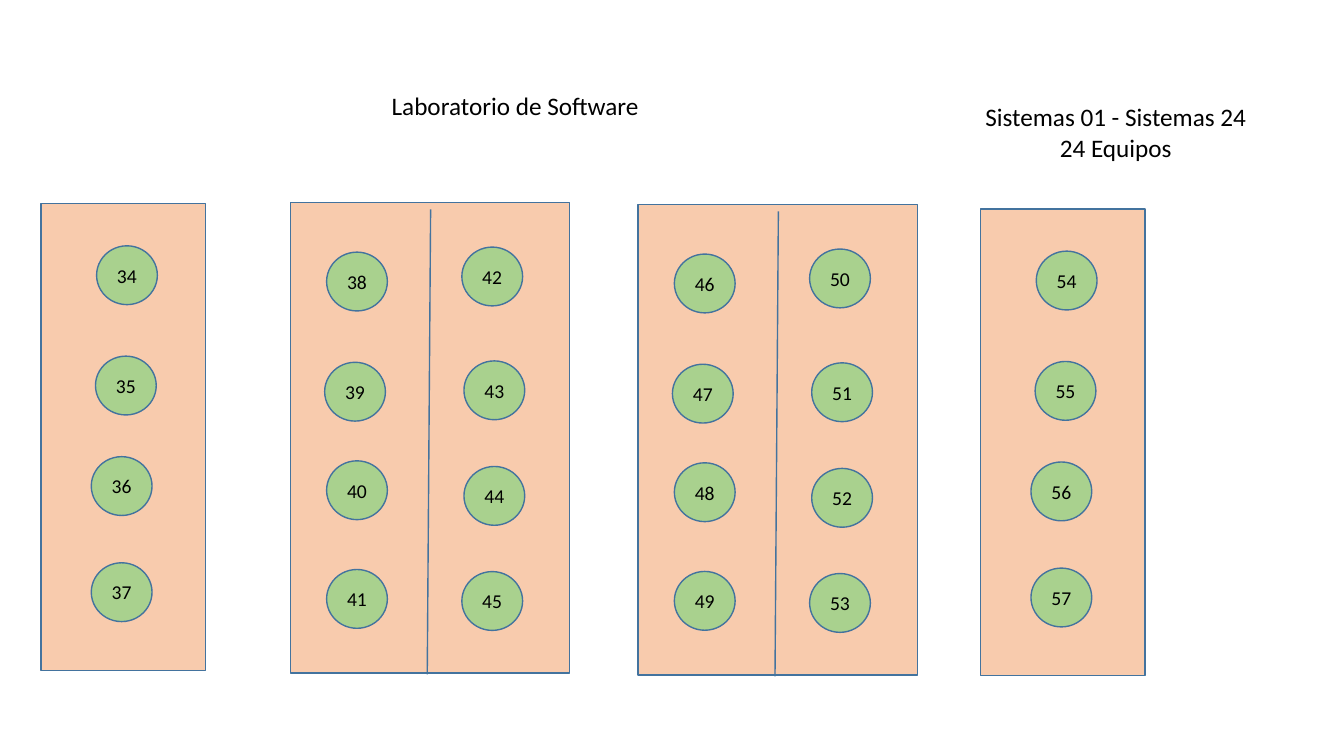
from dataclasses import dataclass

from lxml.etree import SubElement
from pptx import Presentation
from pptx.dml.color import RGBColor
from pptx.enum.shapes import MSO_CONNECTOR, MSO_SHAPE
from pptx.enum.text import MSO_ANCHOR, PP_ALIGN
from pptx.oxml.ns import qn
from pptx.shapes.autoshape import Shape
from pptx.slide import Slide
from pptx.text.text import TextFrame
from pptx.util import Pt

COLORS = {"table": "F8CBAD", "seat": "A9D18E", "outline": "43739E", "text": "000000"}
FONT = "Calibri"
SEAT_WIDTH, SEAT_HEIGHT = 43.4, 42
Point = tuple[float, float]


@dataclass(frozen=True)
class TableKind:
    width: float
    height: float
    seats: tuple[Point, ...]
    divider: tuple[Point, Point] | None = None


@dataclass(frozen=True)
class LabTable:
    kind: TableKind
    left: float
    top: float
    first_number: int


@dataclass(frozen=True)
class Caption:
    left: float
    top: float
    width: float
    height: float
    text: str


SINGLE = TableKind(117.6, 333.4, ((39.8, 30.2), (39, 109), (36, 180.8), (36, 256.6)))
DOUBLE = TableKind(
    199.6,
    336,
    (
        (25.9, 35.3), (24.5, 114), (25.9, 184.4), (25.9, 262),
        (122.5, 31.7), (124, 113), (124, 188.4), (122.5, 263.5),
    ),
    ((100.2, 4.8), (97.8, 337)),
)
TABLES = (
    LabTable(SINGLE, 29.2, 145.4, 34),
    LabTable(DOUBLE, 207.4, 144.8, 38),
    LabTable(DOUBLE, 455.8, 146.2, 46),
    LabTable(SINGLE, 700.4, 149.2, 54),
)
CAPTIONS = (
    Caption(260, 61.2, 216, 29, "Laboratorio de Software"),
    Caption(689, 69.1, 216, 51, "Sistemas 01 - Sistemas 24\n24 Equipos"),
)


def color(name: str) -> RGBColor:
    return RGBColor.from_string(COLORS[name])


def write(frame: TextFrame, text: str, size: float) -> None:
    frame.text = text
    for paragraph in frame.paragraphs:
        paragraph.alignment = PP_ALIGN.CENTER
        for span in paragraph.runs:
            span.font.name = FONT
            span.font.size = Pt(size)
            span.font.color.rgb = color("text")


def add_outlined(page: Slide, preset: MSO_SHAPE, fill: str, left: float, top: float,
                 width: float, height: float) -> Shape:
    shape = page.shapes.add_shape(preset, Pt(left), Pt(top), Pt(width), Pt(height))
    shape.shadow.inherit = False
    shape.fill.solid()
    shape.fill.fore_color.rgb = color(fill)
    shape.line.color.rgb = color("outline")
    shape.line.width = Pt(1)
    return shape


def add_divider(page: Slide, start: Point, end: Point) -> None:
    line = page.shapes.add_connector(MSO_CONNECTOR.STRAIGHT, *map(Pt, start + end))
    line.line.color.rgb = color("outline")
    line.line.width = Pt(1)
    SubElement(line._element.spPr, qn("a:effectLst"))


def add_seat(page: Slide, left: float, top: float, number: int) -> None:
    seat = add_outlined(page, MSO_SHAPE.OVAL, "seat", left, top, SEAT_WIDTH, SEAT_HEIGHT)
    frame = seat.text_frame
    frame.margin_left = frame.margin_right = Pt(0)
    frame.vertical_anchor = MSO_ANCHOR.MIDDLE
    write(frame, str(number), 14)


def add_lab_table(page: Slide, table: LabTable) -> None:
    kind = table.kind
    add_outlined(page, MSO_SHAPE.RECTANGLE, "table", table.left, table.top, kind.width, kind.height)
    if kind.divider:
        start, end = ((table.left + x, table.top + y) for x, y in kind.divider)
        add_divider(page, start, end)
    for number, (x, y) in enumerate(kind.seats, table.first_number):
        add_seat(page, table.left + x, table.top + y, number)


def add_caption(page: Slide, caption: Caption) -> None:
    box = page.shapes.add_textbox(
        Pt(caption.left), Pt(caption.top), Pt(caption.width), Pt(caption.height)
    )
    box.text_frame.word_wrap = True
    write(box.text_frame, caption.text, 18)


def main() -> None:
    deck = Presentation()
    deck.slide_width, deck.slide_height = Pt(960), Pt(540)
    page = deck.slides.add_slide(deck.slide_layouts[6])
    for table in TABLES:
        add_lab_table(page, table)
    for caption in CAPTIONS:
        add_caption(page, caption)
    deck.save("out.pptx")


if __name__ == "__main__":
    main()
